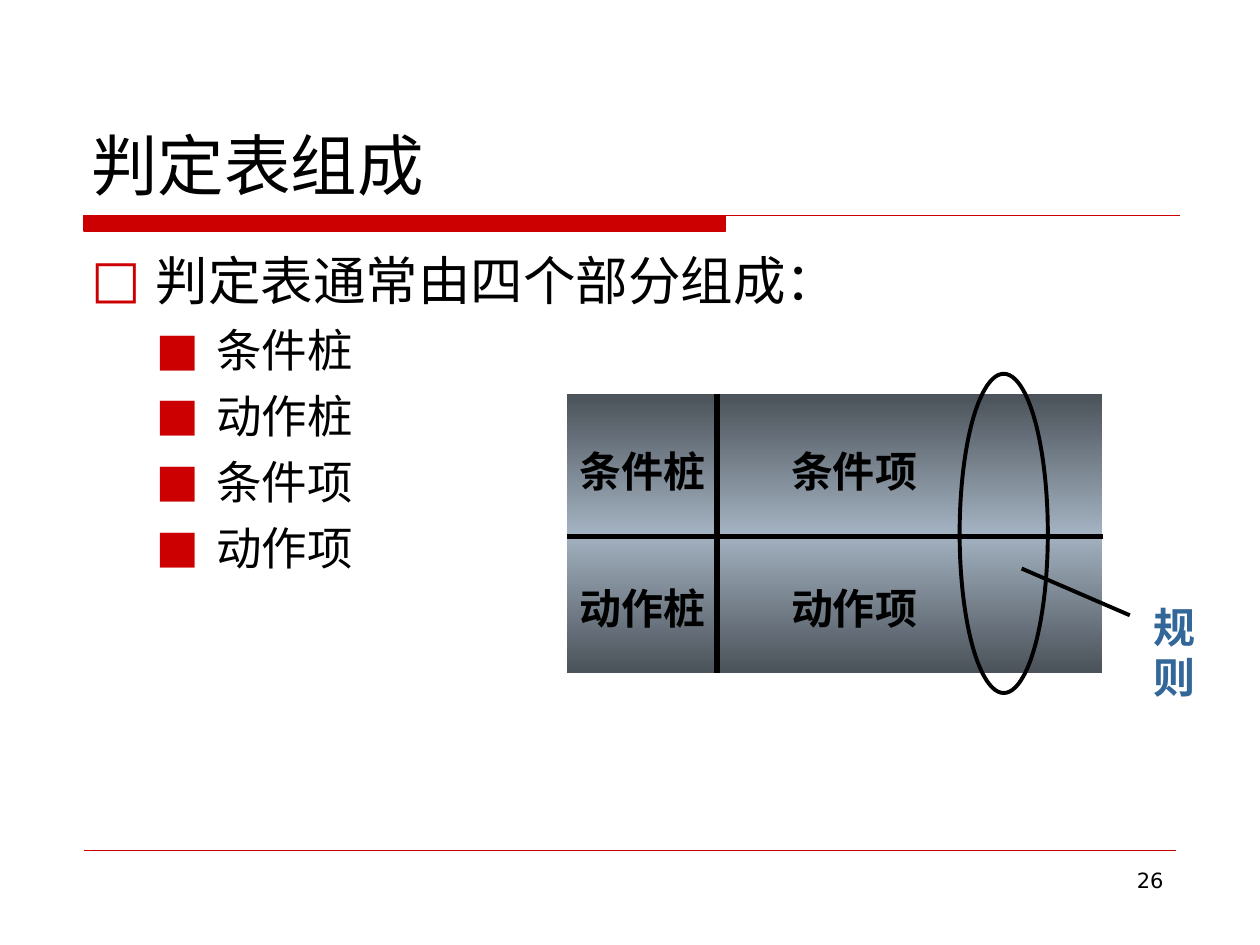
from dataclasses import dataclass

from lxml import etree
from pptx import Presentation
from pptx import util as u
from pptx.dml import color
from pptx.enum import shapes, text
from pptx.oxml import ns

COLORS = {"red": "CC0000", "black": "000000", "blue": "336699",
          "dark": "4B5259", "light": "A3B2C1"}
WIDTH, HEIGHT = u.Inches(10), u.Inches(7.5)
COLUMNS = 120
CELL = WIDTH / COLUMNS
SANS, SERIF = "DejaVu Sans", "Times New Roman"


@dataclass
class Box:
    x: float
    y: float
    w: float
    h: float

    def inner(self, x, y, w, h):
        return Box(self.x + x, self.y + y, w, h)

    def point(self, x, y):
        return cells(self.x + x), cells(self.y + y)

    def frame(self):
        return [cells(value) for value in (self.x, self.y, self.w, self.h)]


def cells(count):
    return u.Emu(round(count * CELL))


def rgb(name):
    return color.RGBColor.from_string(COLORS[name])


def add_span(para, words, size, font=SANS, tint="black", bold=False):
    span = para.add_run()
    span.text = words
    span.font.size = u.Pt(size)
    span.font.name = font
    span.font.bold = bold
    span.font.color.rgb = rgb(tint)


def add_text_frame(page, box, anchor=text.MSO_ANCHOR.TOP):
    frame = page.shapes.add_textbox(*box.frame()).text_frame
    frame.word_wrap = True
    frame.vertical_anchor = anchor
    return frame


def add_line(page, start, end, tint, weight):
    line = page.shapes.add_connector(shapes.MSO_CONNECTOR.STRAIGHT, *start, *end)
    line.line.color.rgb = rgb(tint)
    line.line.width = u.Pt(weight)
    etree.SubElement(line._element.spPr, ns.qn("a:effectLst"))


def add_bullet(para, mark, indent, hanging):
    props = para._p.get_or_add_pPr()
    props.set("marL", str(cells(indent)))
    props.set("indent", str(-cells(hanging)))
    tint = etree.SubElement(props, ns.qn("a:buClr"))
    etree.SubElement(tint, ns.qn("a:srgbClr"), val=COLORS["red"])
    etree.SubElement(props, ns.qn("a:buFont"), typeface=SANS)
    etree.SubElement(props, ns.qn("a:buChar"), char=mark)


def add_title(page, box, words):
    frame = add_text_frame(page, box, text.MSO_ANCHOR.BOTTOM)
    add_span(frame.paragraphs[0], words, 38)


def add_title_rule(page, box):
    builder = page.shapes.build_freeform(*box.point(0, 0), scale=1.0)
    bar = box.w * 0.585
    corners = [box.point(*spot) for spot in ((bar, 0), (bar, box.h), (0, box.h))]
    builder.add_line_segments(corners, close=True)
    builder.move_to(*box.point(0, 0))
    builder.add_line_segments([box.point(box.w, 0)], close=False)
    rule = builder.convert_to_shape()
    rule.shadow.inherit = False
    rule.fill.solid()
    rule.fill.fore_color.rgb = rgb("red")
    rule.line.color.rgb = rgb("red")
    rule.line.width = u.Pt(0.75)


def add_outline(page, box, heading, items):
    frame = add_text_frame(page, box)
    para = frame.paragraphs[0]
    add_bullet(para, "□", 6.15, 6.15)
    add_span(para, heading, 30)
    for item in items:
        para = frame.add_paragraph()
        para.level = 1
        add_bullet(para, "■", 11.9, 5.75)
        para.space_before = u.Pt(6.5)
        add_span(para, item, 26)


def add_label(page, box, words, tint="black", left_inset=0.1):
    frame = add_text_frame(page, box)
    frame.margin_left = u.Inches(left_inset)
    para = frame.paragraphs[0]
    para.alignment = text.PP_ALIGN.CENTER
    add_span(para, words, 24, SERIF, tint, bold=True)


def add_decision_table(page, box, quadrants, rule_name):
    panel = page.shapes.add_shape(shapes.MSO_SHAPE.RECTANGLE, *box.frame())
    panel.shadow.inherit = False
    panel.line.fill.background()
    panel.fill.gradient()
    panel.fill.gradient_angle = 270
    stops = panel._element.spPr.find(".//" + ns.qn("a:gsLst"))
    for stop in list(stops):
        stops.remove(stop)
    for share, name in ((0, "dark"), (50, "light"), (100, "dark")):
        stop = etree.SubElement(stops, ns.qn("a:gs"), pos=str(share * 1000))
        etree.SubElement(stop, ns.qn("a:srgbClr"), val=COLORS[name])

    split_x, split_y = box.w * 0.28, box.h * 0.51
    add_line(page, box.point(split_x, 0), box.point(split_x, box.h), "black", 3)
    add_line(page, box.point(0, split_y), box.point(box.w, split_y), "black", 3)

    label_columns = ((-0.6, 15.6, 0.1), (18.1, 17.5, 0.18))
    label_rows = (4.3, 17.4)
    for y, row in zip(label_rows, quadrants):
        for (x, width, inset), words in zip(label_columns, row):
            add_label(page, box.inner(x, y, width, 6), words, left_inset=inset)

    ring = page.shapes.add_shape(shapes.MSO_SHAPE.OVAL,
                                 *box.inner(37.4, -1.9, 8.4, 30.4).frame())
    ring.shadow.inherit = False
    ring.fill.background()
    ring.line.color.rgb = rgb("black")
    ring.line.width = u.Pt(2.25)
    add_line(page, box.point(43.3, 16.65), box.point(53.6, 21.1), "black", 2.25)
    add_label(page, box.inner(53, 19.2, 9.7, 10.8), rule_name, "blue")


def add_footer(page, box, number):
    add_line(page, box.point(0, 0), box.point(box.w, 0), "red", 0.25)
    frame = add_text_frame(page, box.inner(box.w - 26, 1, 26, 6.2))
    para = frame.paragraphs[0]
    para.alignment = text.PP_ALIGN.RIGHT
    add_span(para, number, 12)


def main():
    deck = Presentation()
    deck.slide_width, deck.slide_height = WIDTH, HEIGHT
    page = deck.slides.add_slide(deck.slide_layouts[6])
    add_title_rule(page, Box(8, 20.5, 104.4, 1.5))
    add_footer(page, Box(8, 81, 104, 7.2), "26")
    add_title(page, Box(7.5, 4, 105, 16), "判定表组成")
    add_outline(page, Box(7.5, 23, 81, 56), "判定表通常由四个部分组成：",
                ["条件桩", "动作桩", "条件项", "动作项"])
    add_decision_table(page, Box(54, 37.5, 51, 26.6),
                       [("条件桩", "条件项"), ("动作桩", "动作项")], "规则")
    deck.save("out.pptx")


if __name__ == "__main__":
    main()
